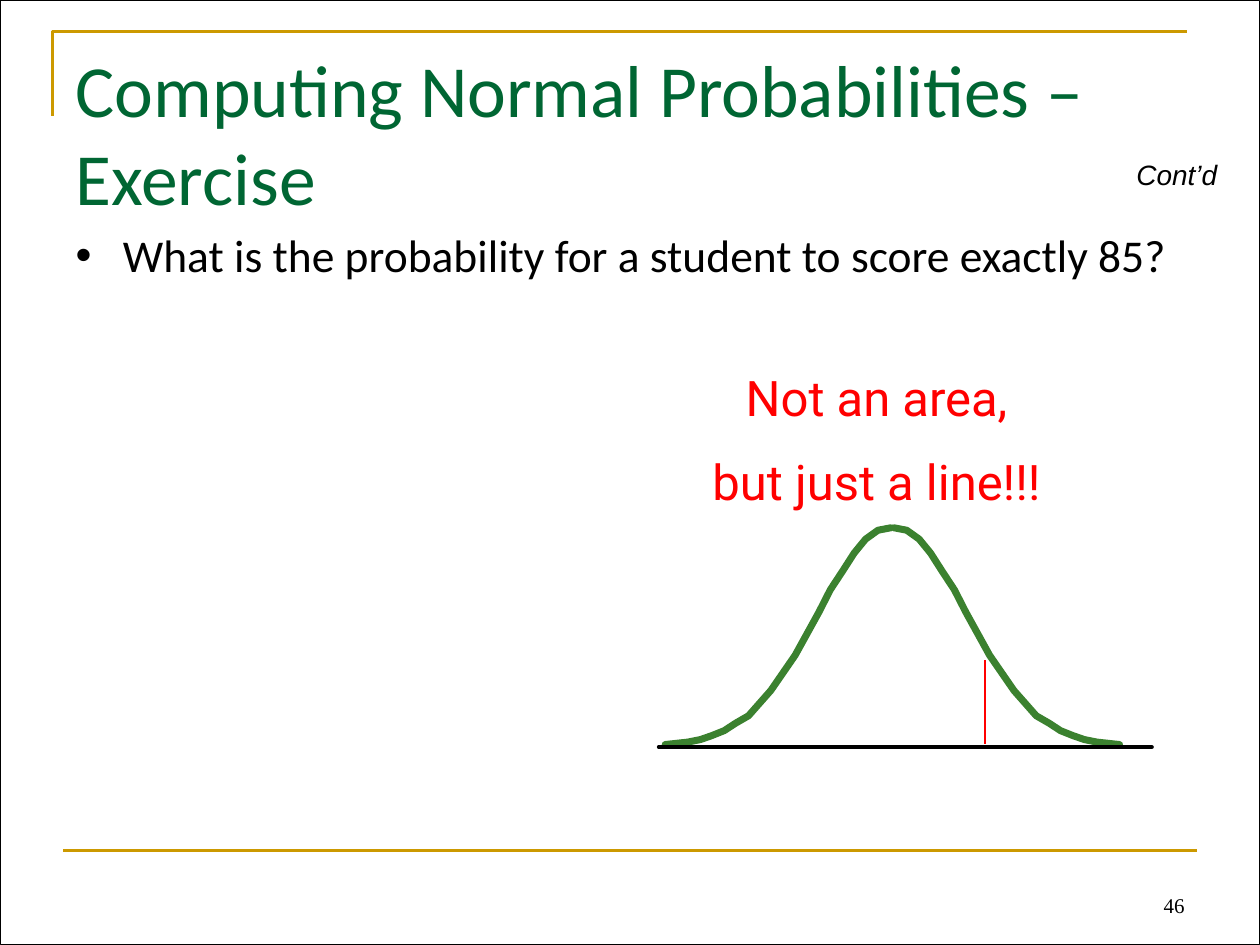
from dataclasses import dataclass

from lxml.etree import SubElement
from pptx import Presentation
from pptx.dml.color import RGBColor
from pptx.enum.shapes import MSO_CONNECTOR, MSO_SHAPE
from pptx.enum.text import MSO_ANCHOR, MSO_AUTO_SIZE, PP_ALIGN
from pptx.oxml.ns import qn
from pptx.util import Cm, Pt


@dataclass(frozen=True)
class Theme:
    gold: RGBColor = RGBColor(0xCC, 0x99, 0x00)
    title_green: RGBColor = RGBColor(0x00, 0x66, 0x33)
    curve_green: RGBColor = RGBColor(0x3B, 0x81, 0x2F)
    black: RGBColor = RGBColor(0, 0, 0)
    red: RGBColor = RGBColor(0xFF, 0, 0)
    title_size: Pt = Pt(42)
    remark_size: Pt = Pt(28)
    body_size: Pt = Pt(26)
    label_size: Pt = Pt(16)
    number_size: Pt = Pt(12)


theme = Theme()


def add_path(shapes, points, color, width, cap="flat"):
    """Draw an open path through points in centimetres; two points make a connector."""
    corners = [(Cm(x), Cm(y)) for x, y in points]
    if len(corners) == 2:
        shape = shapes.add_connector(MSO_CONNECTOR.STRAIGHT, *corners[0], *corners[1])
        SubElement(shape._element.spPr, qn("a:effectLst"))
    else:
        builder = shapes.build_freeform(*corners[0])
        builder.add_line_segments(corners[1:], close=False)
        shape = builder.convert_to_shape()
        shape.fill.background()
        shape.shadow.inherit = False
    shape.line.color.rgb = color
    shape.line.width = Pt(width)
    shape.line._get_or_add_ln().set("cap", cap)


def write(shape, lines, font_name, size, color, align=PP_ALIGN.LEFT, gap=0):
    """Fill the shape with one paragraph per line, with gap points between them."""
    frame = shape.text_frame
    frame.word_wrap = True
    frame.auto_size = MSO_AUTO_SIZE.NONE
    frame.text = "\n".join(lines)
    for index, paragraph in enumerate(frame.paragraphs):
        paragraph.alignment = align
        paragraph.space_before = Pt(gap if index else 0)
        paragraph.font.name = font_name
        paragraph.font.size = size
        paragraph.font.color.rgb = color
    return frame


presentation = Presentation()
presentation.slide_width, presentation.slide_height = Cm(25.4), Cm(19.05)
slide = presentation.slides.add_slide(presentation.slide_layouts[1])
shapes = slide.shapes

# Page frame and gold rules
frame = shapes.add_shape(
    MSO_SHAPE.RECTANGLE, 0, 0, presentation.slide_width, presentation.slide_height
)
frame.fill.background()
frame.line.color.rgb = theme.black
frame.line.width = Pt(0.5)
frame.shadow.inherit = False
add_path(shapes, [(1.06, 2.33), (1.06, 0.63), (23.92, 0.63)], theme.gold, 1.5)
add_path(shapes, [(1.27, 17.15), (24.13, 17.15)], theme.gold, 1.5)

# Title and question
title = shapes.title
title.left, title.top, title.width, title.height = Cm(1.27), Cm(0.76), Cm(22.86), Cm(3.18)
title_text = write(title, ["Computing Normal Probabilities – Exercise"],
                   "Calibri", theme.title_size, theme.title_green)
title_text.vertical_anchor = MSO_ANCHOR.TOP

body = slide.placeholders[1]
body.left, body.top, body.width, body.height = Cm(1.27), Cm(4.45), Cm(22.86), Cm(12.57)
body.text_frame.paragraphs[0].space_before = Pt(0)
question = body.text_frame.paragraphs[0]._p.get_or_add_pPr()
question.set("marL", str(Cm(1.42)))
question.set("indent", str(-Cm(1.42)))
bullet_color = SubElement(question, qn("a:buClr"))
SubElement(bullet_color, qn("a:srgbClr"), val=str(theme.gold))
SubElement(question, qn("a:buSzPct"), val="65000")
SubElement(question, qn("a:buFont"), typeface="+mj-lt")
SubElement(question, qn("a:buAutoNum"), type="arabicPeriod", startAt="5")
write(body, ["What is the probability for a student to score exactly 85?"],
      "Calibri", theme.body_size, theme.black)

# Slide number and continuation label
number = shapes.add_textbox(Cm(18.21), Cm(17.35), Cm(5.92), Cm(1.27))
number_text = write(number, ["46"], "Times New Roman", theme.number_size,
                    theme.black, PP_ALIGN.RIGHT)
number_text.vertical_anchor = MSO_ANCHOR.BOTTOM

label = shapes.add_textbox(Cm(22.66), Cm(3.05), Cm(2.54), Cm(0.94))
label_text = write(label, ["Cont’d"], "Arial", theme.label_size, theme.black)
label_text.paragraphs[0].font.italic = True

# Bell curve: the right half mirrors the left one
left_half = [
    (13.41, 15.01), (13.87, 14.96), (14.12, 14.91), (14.35, 14.83),
    (14.6, 14.73), (14.83, 14.58), (15.09, 14.43), (15.54, 13.92),
    (16.03, 13.21), (16.51, 12.34), (16.74, 11.89), (16.99, 11.51),
    (17.22, 11.15), (17.45, 10.87), (17.7, 10.69), (17.96, 10.64),
]
curve_center = 17.99
right_half = [(2 * curve_center - x, y) for x, y in left_half]
diagram = shapes.add_group_shape().shapes
for half in (left_half, right_half):
    add_path(diagram, half, theme.curve_green, 4, "rnd")
add_path(diagram, [(13.28, 15.06), (23.22, 15.06)], theme.black, 2.25, "rnd")
add_path(diagram, [(19.86, 14.99), (19.86, 13.31)], theme.red, 1.5)

remark = shapes.add_textbox(Cm(13.44), Cm(7.29), Cm(8.46), Cm(3.25))
write(remark, ["Not an area,", "but just a line!!!"], "Roboto",
      theme.remark_size, theme.red, PP_ALIGN.CENTER, gap=14)

presentation.save("out.pptx")
